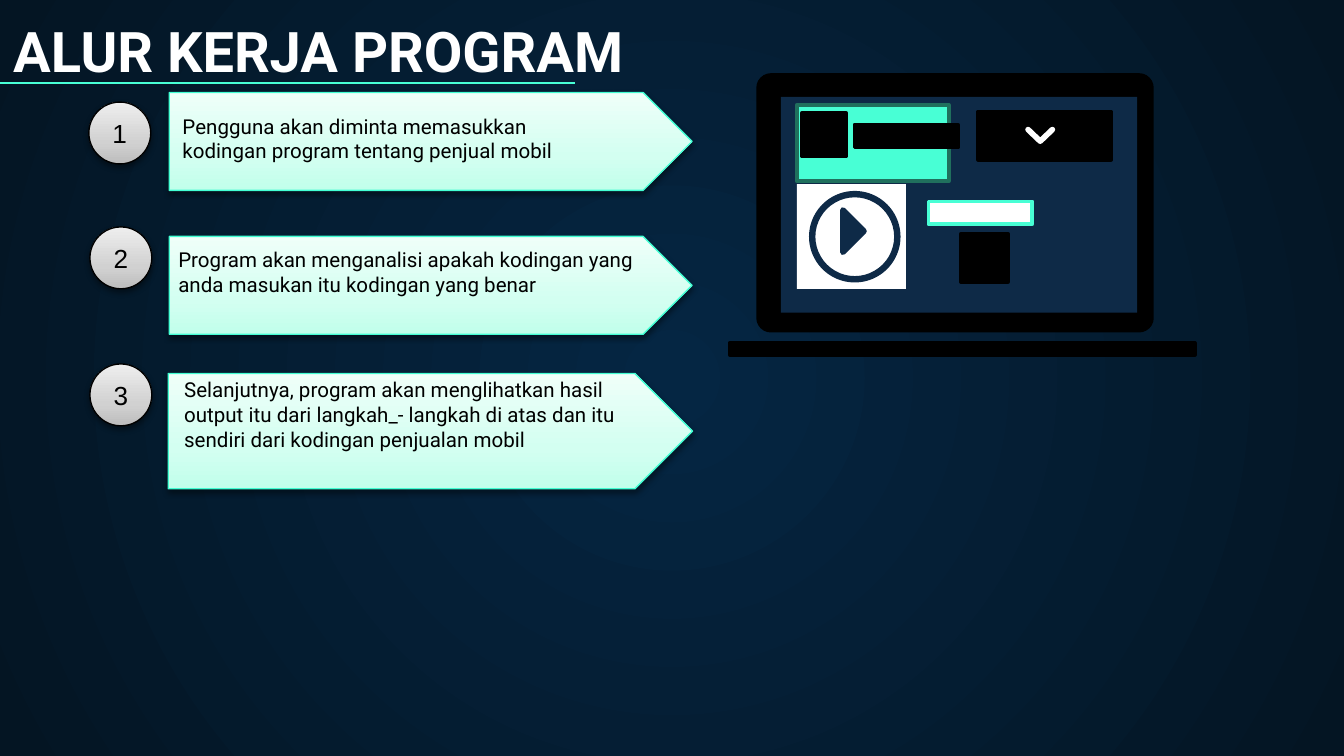
from dataclasses import dataclass
from typing import NamedTuple, Optional

from lxml import etree
from pptx import Presentation
from pptx import util as u
from pptx.dml.color import RGBColor
from pptx.enum import shapes, text
from pptx.oxml import ns


@dataclass(frozen=True)
class Theme:
    white: str = "FFFFFF"
    black: str = "000000"
    navy: str = "0E2A47"
    mint: str = "48FFD5"
    arrow_line: str = "42FED3"
    panel_line: str = "20705D"
    night: tuple = ((0, "052643"), (100, "041523"))
    mint_fade: tuple = ((0, "C1FFEB"), (35, "D3FFF1"), (100, "EFFFF9"))
    grey_fade: tuple = ((0, "BDBDBD"), (35, "D1D1D1"), (100, "EEEEEE"))
    font: str = "Roboto"
    badge_font: str = "Arial"
    title_size: float = 30
    body_size: float = 11
    badge_size: float = 14
    thin: float = 0.75
    thick: float = 2


class Box(NamedTuple):
    x: float
    y: float
    w: float
    h: float

    def cm(self) -> list:
        return [u.Cm(v) for v in self]


class Step(NamedTuple):
    words: str
    badge: Box
    arrow: Box
    label: Box


class Block(NamedTuple):
    box: Box
    fill: str
    line: Optional[str] = None
    kind: shapes.MSO_SHAPE = shapes.MSO_SHAPE.RECTANGLE
    adj: Optional[float] = None


T = Theme()
LINEAR = '<a:lin ang="16200000" scaled="0"/>'
RADIAL = '<a:path path="circle"><a:fillToRect l="50000" t="50000" r="50000" b="50000"/></a:path>'

STEPS = [
    Step("Pengguna akan diminta memasukkan kodingan program tentang penjual mobil",
         Box(1.68, 1.93, 1.17, 1.17), Box(3.2, 1.75, 9.88, 1.85), Box(3.2, 1.47, 8.64, 2.31)),
    Step("Program akan menganalisi apakah kodingan yang anda masukan itu kodingan yang benar",
         Box(1.7, 4.29, 1.17, 1.17), Box(3.2, 4.47, 9.88, 1.85), Box(3.12, 4.62, 9.58, 1.68)),
    Step("Selanjutnya, program akan menglihatkan hasil\n"
         "output itu dari langkah_- langkah di atas dan itu\n"
         "sendiri dari kodingan penjualan mobil",
         Box(1.7, 6.88, 1.17, 1.17), Box(3.18, 7.06, 9.91, 2.18), Box(3.23, 6.73, 9.78, 2.51)),
]

LAPTOP = [
    Block(Box(14.33, 1.42, 7.44, 4.83), T.black, T.black, shapes.MSO_SHAPE.ROUNDED_RECTANGLE, 0.05),
    Block(Box(14.76, 1.83, 6.73, 4.08), T.navy),
    Block(Box(13.79, 6.48, 8.79, 0.23), T.black, T.black),
    Block(Box(15.06, 1.98, 2.87, 1.45), T.mint, T.panel_line),
    Block(Box(15.16, 2.13, 0.83, 0.83), T.black, T.black),
    Block(Box(18.49, 2.11, 2.51, 0.91), T.black, T.black),
    Block(Box(18.16, 4.42, 0.89, 0.91), T.black, T.black),
    Block(Box(17.55, 3.81, 1.96, 0.43), T.white, T.mint),
    Block(Box(16.15, 2.36, 1.96, 0.43), T.black, T.black),
    Block(Box(15.06, 3.48, 2.06, 1.98), T.white),
    Block(Box(15.29, 3.61, 1.73, 1.73), T.navy, None, shapes.MSO_SHAPE.DONUT, 0.07),
]


def rgb(color: str) -> RGBColor:
    return RGBColor.from_string(color)


def xml(body: str):
    return etree.fromstring(body.replace(">", f" {ns.nsdecls('a')}>", 1))


def fade(holder, stops: tuple, direction: str) -> None:
    marks = "".join(f'<a:gs pos="{pos * 1000}"><a:srgbClr val="{c}"/></a:gs>' for pos, c in stops)
    grad = xml(f'<a:gradFill rotWithShape="1"><a:gsLst>{marks}</a:gsLst>{direction}</a:gradFill>')
    holder.replace(holder.find(ns.qn("a:solidFill")), grad)


def paint(sp, fill: Optional[str], line: Optional[str], width: float) -> None:
    sp.shadow.inherit = False
    if fill:
        sp.fill.solid()
        sp.fill.fore_color.rgb = rgb(fill)
    else:
        sp.fill.background()
    if line:
        sp.line.color.rgb = rgb(line)
        sp.line.width = u.Pt(width)
    else:
        sp.line.fill.background()


def write(sp, words: str, font: str, size: float, color: str, anchor, align,
          bold: bool = False, bottom: float = 0.25) -> None:
    tf = sp.text_frame
    tf.word_wrap = True
    tf.vertical_anchor = anchor
    tf.margin_left = tf.margin_right = tf.margin_top = u.Cm(0.25)
    tf.margin_bottom = u.Cm(bottom)
    p = tf.paragraphs[0]
    p.text = words
    p.alignment = align
    p.font.name, p.font.size, p.font.bold = font, u.Pt(size), bold
    p.font.color.rgb = rgb(color)


def raised(s, kind, box: Box, stops: tuple, line: str):
    sp = s.shapes.add_shape(kind, *box.cm())
    paint(sp, stops[0][1], line, T.thin)
    sp_pr = sp.element.spPr
    fade(sp_pr, stops, LINEAR)
    sp_pr.find(ns.qn("a:effectLst")).append(xml(
        '<a:outerShdw blurRad="39370" dist="20320" dir="5400000" rotWithShape="0">'
        f'<a:srgbClr val="{T.black}"><a:alpha val="38000"/></a:srgbClr></a:outerShdw>'))
    return sp


def label(s, box: Box, words: str, size: float, color: str, **style) -> None:
    sp = s.shapes.add_textbox(*box.cm())
    write(sp, words, T.font, size, color, text.MSO_ANCHOR.BOTTOM, text.PP_ALIGN.LEFT, **style)


def outline(s, points: list, fill: Optional[str], line: str, width: float) -> None:
    pts = [(u.Cm(x), u.Cm(y)) for x, y in points]
    fb = s.shapes.build_freeform(*pts[0])
    fb.add_line_segments(pts[1:], close=fill is not None)
    sp = fb.convert_to_shape()
    paint(sp, fill, line, width)
    ln = sp.line._get_or_add_ln()
    ln.set("cap", "rnd")
    ln.append(xml("<a:round></a:round>"))


def underline(s) -> None:
    c = s.shapes.add_connector(shapes.MSO_CONNECTOR.STRAIGHT, *Box(0, 1.57, 10.87, 1.57).cm())
    c.line.color.rgb = rgb(T.mint)
    c.line.width = u.Pt(T.thin)
    c.element.spPr.append(xml("<a:effectLst></a:effectLst>"))


def draw_steps(s) -> None:
    for step in reversed(STEPS):
        raised(s, shapes.MSO_SHAPE.PENTAGON, step.arrow, T.mint_fade, T.arrow_line)
    label(s, Box(0, 0.15, 21.77, 1.68), "ALUR KERJA PROGRAM", T.title_size, T.white, bold=True)
    underline(s)
    for number, step in enumerate(STEPS, 1):
        label(s, step.label, step.words, T.body_size, T.black, bottom=0.71)
        sp = raised(s, shapes.MSO_SHAPE.OVAL, step.badge, T.grey_fade, T.black)
        write(sp, str(number), T.badge_font, T.badge_size, T.black,
              text.MSO_ANCHOR.MIDDLE, text.PP_ALIGN.CENTER)


def draw_laptop(s) -> None:
    for block in LAPTOP:
        sp = s.shapes.add_shape(block.kind, *block.box.cm())
        if block.adj is not None:
            sp.adjustments[0] = block.adj
        paint(sp, block.fill, block.line, T.thick)
    outline(s, [(19.43, 2.45), (19.66, 2.67), (19.89, 2.45)], None, T.white, 3)
    outline(s, [(15.93, 3.97), (15.93, 4.77), (16.33, 4.37)], T.navy, T.navy, 3)


def main() -> None:
    prs = Presentation()
    prs.slide_width, prs.slide_height = u.Cm(25.4), u.Cm(14.29)
    s = prs.slides.add_slide(prs.slide_layouts[6])
    s.background.fill.solid()
    s.background.fill.fore_color.rgb = rgb(T.night[0][1])
    fade(s.element.find(".//" + ns.qn("p:bgPr")), T.night, RADIAL)
    draw_steps(s)
    draw_laptop(s)
    prs.save("out.pptx")


if __name__ == "__main__":
    main()
